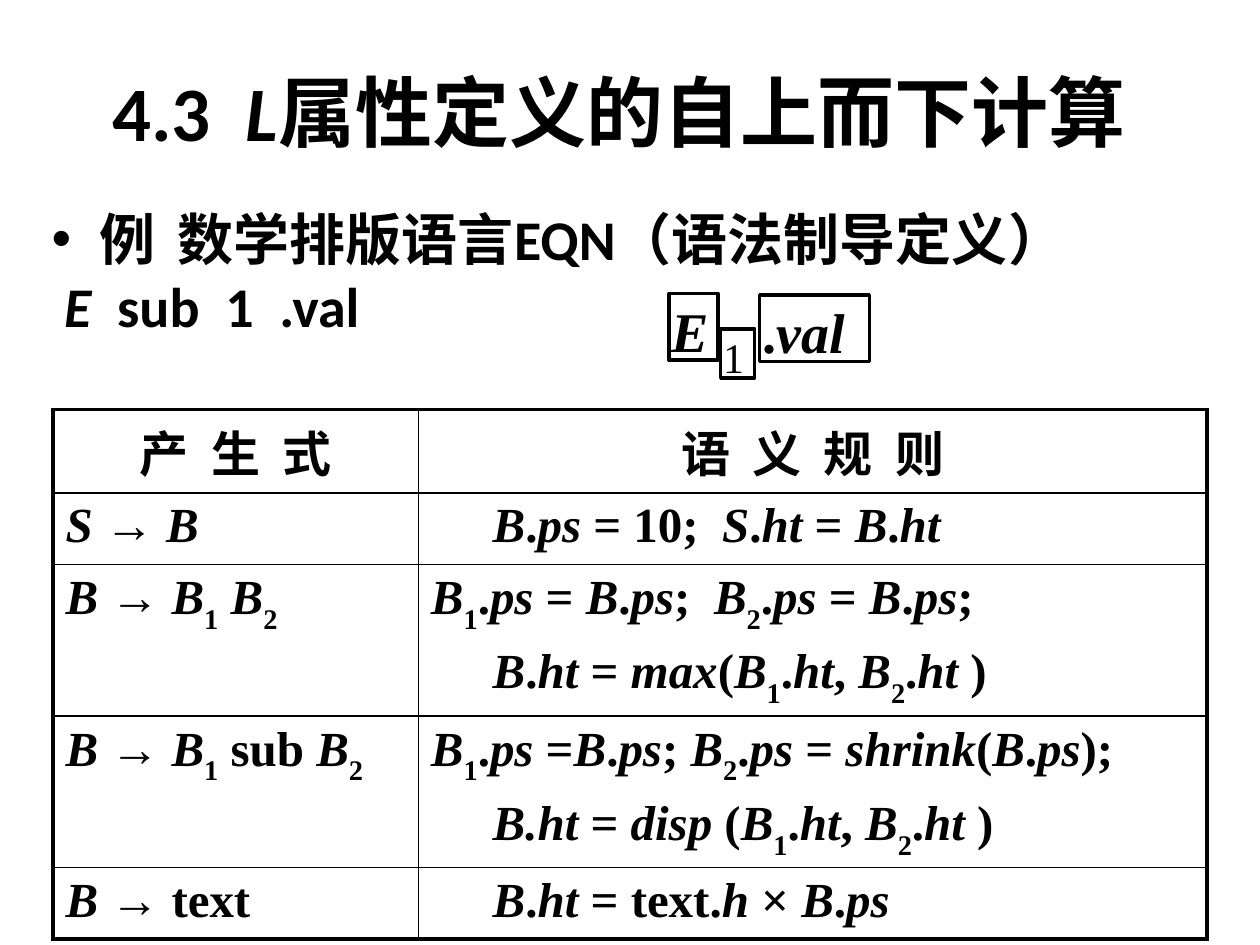
from lxml import etree
from pptx import Presentation
from pptx.dml.color import RGBColor
from pptx.enum.shapes import MSO_SHAPE
from pptx.enum.text import MSO_ANCHOR, MSO_AUTO_SIZE, PP_ALIGN
from pptx.oxml.ns import qn
from pptx.util import Inches, Pt

BLACK = "000000"
SERIF, SANS, CJK = "Times New Roman", "Calibri", "Noto Sans CJK SC"
STEP = 0.49  # indent of a rule that starts further in, inches

HEADER = ("产~生~式", "语~义~规~则")
# *...* toggles italics, _ lowers the next character, ~ is a wide space,
# and a leading > indents the line.
RULES = [
    ("*S* → *B*", [">*B*.*ps* = 10;~*S*.*ht* = *B*.*ht*"]),
    ("*B* → *B*_1 *B*_2",
     ["*B*_1.*ps* = *B*.*ps*;~*B*_2.*ps* = *B*.*ps*;",
      ">*B*.*ht* = *max*(*B*_1.*ht*, *B*_2.*ht* )"]),
    ("*B* → *B*_1 sub *B*_2",
     ["*B*_1.*ps* =*B*.*ps*; *B*_2.*ps* = *shrink*(*B*.*ps*);",
      ">*B.ht* = *disp* (*B*_1.*ht*, *B*_2.*ht* )"]),
    ("*B* → text", [">*B*.*ht* = text.*h* × *B*.*ps*"]),
]


def color(hex_code):
    """Turn a hex string into a colour."""
    return RGBColor.from_string(hex_code)


def split_markup(text):
    """Return (text, italic, kind) pieces of a marked-up line."""
    pieces, italic, lowered = [], False, False
    for char in text:
        if char == "*":
            italic = not italic
        elif char == "_":
            lowered = True
        else:
            kind = "sub" if lowered else "wide" if char == "~" else "plain"
            lowered = False
            char = " " if kind == "wide" else char
            if pieces and kind == "plain" and pieces[-1][1:] == (italic, kind):
                pieces[-1] = (pieces[-1][0] + char, italic, kind)
            else:
                pieces.append((char, italic, kind))
    return pieces


def add_text(paragraph, markup, size, font, bold=True):
    """Write a marked-up line into a paragraph."""
    for text, italic, kind in split_markup(markup):
        run = paragraph.add_run()
        run.text = text
        run.font.size, run.font.name = Pt(size), font
        run.font.bold, run.font.italic = bold, italic
        run.font.color.rgb = color(BLACK)
        props = run.font._element
        latin = props.find(qn("a:latin"))
        east_asian = etree.Element(qn("a:ea"), typeface=CJK)
        latin.addnext(east_asian)
        if kind == "sub":
            props.set("baseline", "-30000")
        elif kind == "wide":
            props.set("spc", str(round(size * 23)))


def set_indent(paragraph, left, first=0, bullet=None):
    """Set the indents of a paragraph, in inches, and its bullet."""
    props = paragraph._p.get_or_add_pPr()
    props.set("marL", str(Inches(left)))
    props.set("indent", str(Inches(first)))
    if bullet:
        etree.SubElement(props, qn("a:buChar"), char=bullet)
    else:
        etree.SubElement(props, qn("a:buNone"))


def place(shape, left, top, width, height):
    """Move and size a shape, in inches."""
    shape.left, shape.top = Inches(left), Inches(top)
    shape.width, shape.height = Inches(width), Inches(height)


def fill_title(title):
    """Place and write the title."""
    place(title, 0.33, 0.25, 9.17, 1.25)
    frame = title.text_frame
    frame.auto_size = MSO_AUTO_SIZE.NONE
    frame.vertical_anchor = MSO_ANCHOR.MIDDLE
    frame.paragraphs[0].alignment = PP_ALIGN.CENTER
    add_text(frame.paragraphs[0], "4.3~*L*属性定义的自上而下计算", 44, SANS)


def fill_body(body):
    """Place and write the bullet and the line below it."""
    place(body, 0.31, 1.57, 9.37, 5.51)
    frame = body.text_frame
    frame.auto_size = MSO_AUTO_SIZE.NONE
    bullet, example = frame.paragraphs[0], frame.add_paragraph()
    for paragraph in (bullet, example):
        paragraph.space_before = Pt(0)
    set_indent(bullet, 0.38, -0.38, "•")
    add_text(bullet, "例\t数学排版语言EQN（语法制导定义）", 32, SANS)
    set_indent(example, 0.1)
    add_text(example, "*E*~sub~1~.val", 32, SANS)


def add_box(slide, place_at, markup, size, bold=True):
    """Add an outlined box with a formula part in it."""
    box = slide.shapes.add_shape(MSO_SHAPE.RECTANGLE, *map(Inches, place_at))
    box.shadow.inherit = False
    box.fill.background()
    box.line.color.rgb = color(BLACK)
    box.line.width = Pt(2)
    frame = box.text_frame
    frame.word_wrap = True
    frame.vertical_anchor = MSO_ANCHOR.TOP
    frame.margin_left = frame.margin_right = Inches(0.02)
    frame.margin_top = frame.margin_bottom = Inches(0.02)
    frame.paragraphs[0].alignment = PP_ALIGN.LEFT
    add_text(frame.paragraphs[0], markup, size, SERIF, bold)


def set_borders(cell, widths):
    """Draw the left, right, top and bottom borders, widths in points."""
    props = cell._tc.get_or_add_tcPr()
    for side, width in zip("LRTB", widths):
        line = etree.SubElement(props, qn("a:ln" + side), w=str(Pt(width)))
        fill = etree.SubElement(line, qn("a:solidFill"))
        etree.SubElement(fill, qn("a:srgbClr"), val=BLACK)


def fill_cell(cell, lines, font, align):
    """Write the lines of a table cell."""
    frame = cell.text_frame
    for index, line in enumerate(lines):
        paragraph = frame.add_paragraph() if index else frame.paragraphs[0]
        paragraph.alignment = align
        paragraph.space_before = Pt(5.6)
        if line.startswith(">"):
            set_indent(paragraph, STEP)
        add_text(paragraph, line.lstrip(">"), 28, font)


def add_rule_table(slide):
    """Add the table of productions and semantic rules."""
    rows = [([HEADER[0]], [HEADER[1]])]
    rows += [([production], rules) for production, rules in RULES]
    frame = slide.shapes.add_table(len(rows), 2, Inches(0.42), Inches(3.25),
                                   Inches(9.16), Inches(3.99))
    table = frame.table
    table.first_row = table.horz_banding = False
    for column, width in zip(table.columns, (2.9, 6.26)):
        column.width = Inches(width)
    last = len(rows) - 1
    for r, row in enumerate(rows):
        table.rows[r].height = Inches(0.57 * len(row[1]))
        font = SERIF if r else CJK
        align = PP_ALIGN.LEFT if r else PP_ALIGN.CENTER
        for c, lines in enumerate(row):
            cell = table.cell(r, c)
            outer = (c == 0, c == 1, r == 0, r == last)
            set_borders(cell, [2.25 if edge else 1 for edge in outer])
            cell.fill.background()
            fill_cell(cell, lines, font, align)


def main():
    """Build the slide and save it."""
    prs = Presentation()
    prs.slide_width, prs.slide_height = Inches(10), Inches(7.5)
    slide = prs.slides.add_slide(prs.slide_layouts[1])
    fill_title(slide.shapes.title)
    fill_body(slide.placeholders[1])
    add_rule_table(slide)
    add_box(slide, (5.31, 2.33, 0.39, 0.53), "*E*", 32)
    add_box(slide, (5.72, 2.61, 0.27, 0.39), "1", 24, bold=False)
    add_box(slide, (6.03, 2.34, 0.87, 0.53), ".*val*", 32)
    prs.save("out.pptx")


main()
